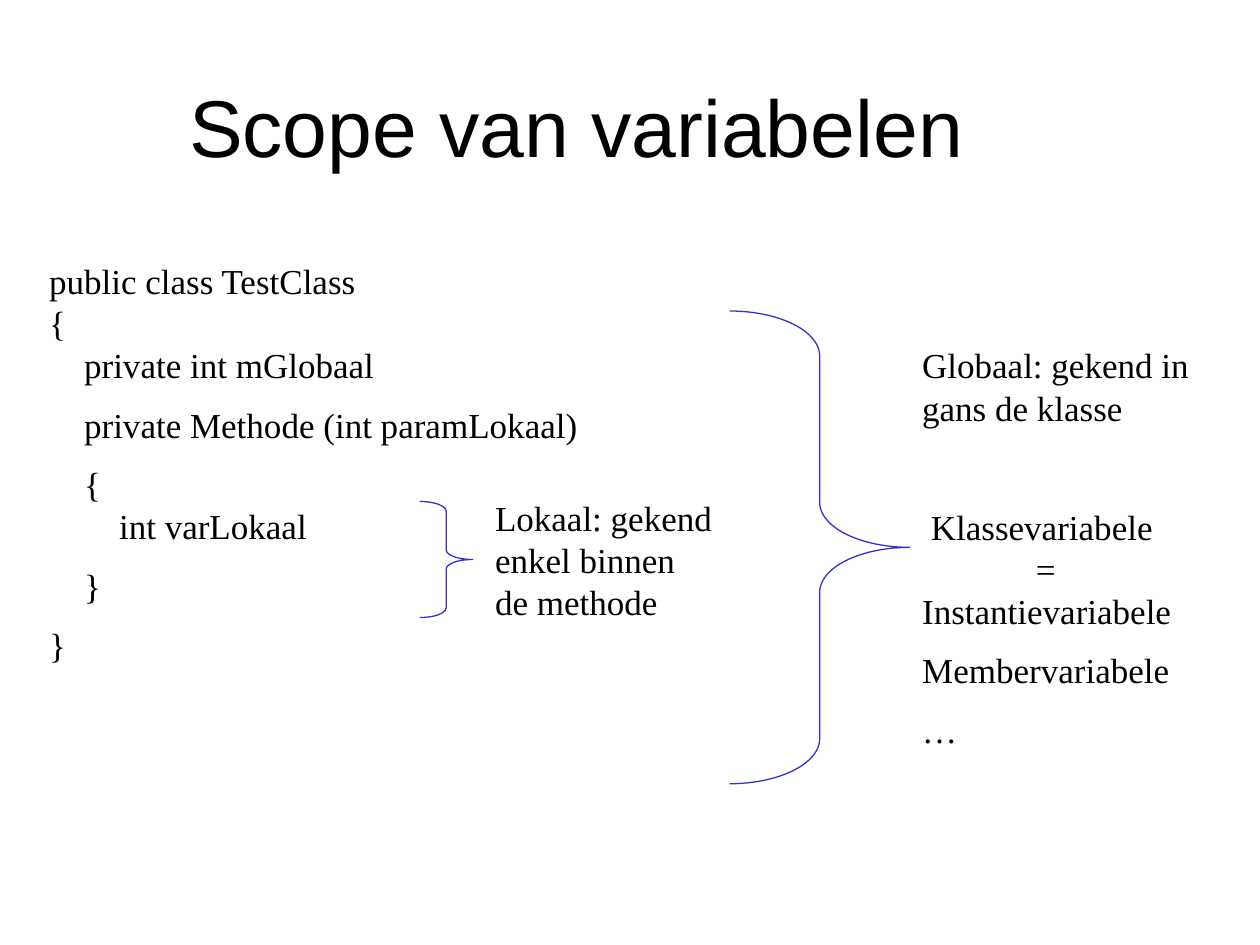
from pptx import Presentation
from pptx.dml.color import RGBColor
from pptx.enum.shapes import MSO_SHAPE
from pptx.enum.text import PP_ALIGN
from pptx.util import Cm, Pt

BRACE = MSO_SHAPE.RIGHT_BRACE
CENTER = PP_ALIGN.CENTER

HUES = {"text": "000000", "brace": "3333CC"}
SERIF, SANS = "Times New Roman", "Arial"
SIZE, PITCH, GAP, STEP = 20, 24, 10, 20

# rows: text, indent in points, space before in points
CODE = [
    ("public class TestClass", 0, 0),
    ("{", 0, 0),
    ("private int mGlobaal", STEP, 0),
    ("private Methode (int paramLokaal)", STEP, GAP),
    ("{", STEP, GAP),
    ("int varLokaal", 2 * STEP, 0),
    ("}", STEP, GAP),
    ("}", 0, GAP),
]
LOCAL = [
    ("Lokaal: gekend enkel binnen", 0, 0),
    ("de methode", 0, 0),
]
GLOBAL = [
    ("Globaal: gekend in gans de klasse", 0, 0),
    ("Klassevariabele", 5, PITCH + 2 * GAP),
    ("= Instantievariabele", 65, 0),
    ("Membervariabele", 0, GAP),
    ("…", 0, GAP),
]
TITLE = "Scope van variabelen"


def add_box(home, place):
    box = home.add_textbox(*map(Cm, place))
    box.text_frame.word_wrap = True
    return box.text_frame


def add_run(para, text, font, size):
    run = para.add_run()
    run.text = text
    run.font.name = font
    run.font.size = Pt(size)
    run.font.color.rgb = RGBColor.from_string(HUES["text"])


def add_rows(home, place, rows):
    frame = add_box(home, place)
    for i, (text, indent, space) in enumerate(rows):
        para = frame.add_paragraph() if i else frame.paragraphs[0]
        para.line_spacing = Pt(PITCH)
        para.space_before = Pt(space)
        if indent:
            props = para._p.get_or_add_pPr()
            props.set("marL", "0")
            props.set("indent", str(Pt(indent)))
        add_run(para, text, SERIF, SIZE)


def add_brace(home, place, curve):
    brace = home.add_shape(BRACE, *map(Cm, place))
    brace.shadow.inherit = False
    brace.adjustments[0] = curve
    brace.adjustments[1] = 0.5
    brace.fill.background()
    brace.line.color.rgb = RGBColor.from_string(HUES["brace"])
    brace.line.width = Pt(0.75)


def main():
    deck = Presentation()
    deck.slide_width, deck.slide_height = Cm(25.4), Cm(19.05)
    shapes = deck.slides.add_slide(deck.slide_layouts[6]).shapes

    add_rows(shapes, (0.74, 5.11, 11.99, 8.81), CODE)

    inner = shapes.add_group_shape().shapes
    add_rows(inner, (9.73, 9.88, 5.92, 3.68), LOCAL)
    add_brace(inner, (8.46, 10.11, 1.07, 2.34), 0.18)

    outer = shapes.add_group_shape().shapes
    add_brace(outer, (14.71, 6.27, 3.63, 9.53), 0.25)
    add_rows(outer, (18.34, 6.81, 7.06, 10.08), GLOBAL)

    frame = add_box(shapes, (-1.09, 1.27, 25.4, 2.9))
    frame.margin_top = Cm(0.28)
    head = frame.paragraphs[0]
    head.alignment = CENTER
    add_run(head, TITLE, SANS, 46)

    deck.save("out.pptx")


if __name__ == "__main__":
    main()
